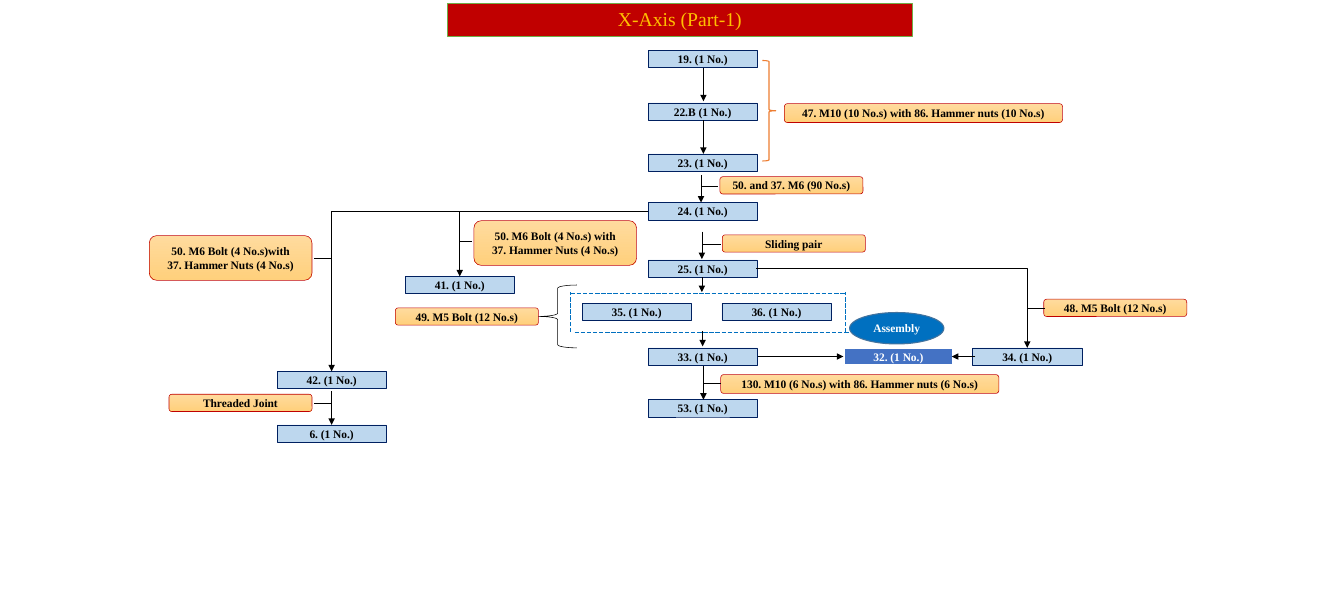
from lxml import etree
from pptx import Presentation
from pptx.dml.color import RGBColor
from pptx.enum.dml import MSO_LINE
from pptx.enum.shapes import MSO_CONNECTOR, MSO_SHAPE
from pptx.enum.text import MSO_ANCHOR, MSO_AUTO_SIZE, PP_ALIGN
from pptx.oxml.ns import qn
from pptx.util import Inches, Pt

RECTANGLE = MSO_SHAPE.RECTANGLE
ROUNDED = MSO_SHAPE.ROUNDED_RECTANGLE
OVAL = MSO_SHAPE.OVAL
LEFT_BRACE, RIGHT_BRACE = MSO_SHAPE.LEFT_BRACE, MSO_SHAPE.RIGHT_BRACE
STRAIGHT, ELBOW = MSO_CONNECTOR.STRAIGHT, MSO_CONNECTOR.ELBOW
LONG_DASH = MSO_LINE.LONG_DASH
CENTER = PP_ALIGN.CENTER
TOP, MIDDLE = MSO_ANCHOR.TOP, MSO_ANCHOR.MIDDLE

# Grid in inches: column centres and row centres of the part boxes
SLIDE_SIZE = (17.1, 7.5)
PART_SIZE = (1.39, 0.22)
COLUMNS = {"frame": 4.22, "branch": 5.85, "pair left": 8.1, "main": 8.94,
           "pair right": 9.88, "assembly": 11.43, "right": 13.07}
ROWS = {"19": 0.75, "22": 1.42, "23": 2.07, "24": 2.69, "25": 3.42, "41": 3.63,
        "pair": 3.97, "33": 4.54, "42": 4.84, "53": 5.2, "6": 5.52}

TITLE = "X-Axis (Part-1)"
PARTS = [  # text, column, row
    ("19. (1 No.)", "main", "19"),
    ("22.B (1 No.)", "main", "22"),
    ("23. (1 No.)", "main", "23"),
    ("24. (1 No.)", "main", "24"),
    ("25. (1 No.)", "main", "25"),
    ("35. (1 No.)", "pair left", "pair"),
    ("36. (1 No.)", "pair right", "pair"),
    ("33. (1 No.)", "main", "33"),
    ("53. (1 No.)", "main", "53"),
    ("34. (1 No.)", "right", "33"),
    ("41. (1 No.)", "branch", "41"),
    ("42. (1 No.)", "frame", "42"),
    ("6. (1 No.)", "frame", "6"),
]
FASTENER_SIZES = {"wide": (3.54, 0.24), "short": (1.82, 0.22), "tall": (2.07, 0.57)}
FASTENERS = [  # lines, left, top, size
    (["47. M10 (10 No.s) with 86. Hammer nuts (10 No.s)"], 9.98, 1.32, "wide"),
    (["50. and 37. M6 (90 No.s)"], 9.16, 2.25, "short"),
    (["Sliding pair"], 9.19, 2.99, "short"),
    (["49. M5 Bolt (12 No.s)"], 5.03, 3.92, "short"),
    (["48. M5 Bolt (12 No.s)"], 13.28, 3.81, "short"),
    (["Threaded Joint"], 2.15, 5.02, "short"),
    (["130. M10 (6 No.s) with 86. Hammer nuts (6 No.s)"], 9.17, 4.77, "wide"),
    (["50. M6 Bolt (4 No.s)with", "37. Hammer Nuts (4 No.s)"], 1.9, 3.0, "tall"),
    (["50. M6 Bolt (4 No.s) with", "37. Hammer Nuts (4 No.s)"], 6.03, 2.81, "tall"),
]
DOWN_ARROWS = [  # x, top, bottom
    (8.95, 0.86, 1.29), (8.95, 1.53, 1.96), (8.92, 2.23, 2.58), (8.93, 2.95, 3.3),
    (8.93, 3.53, 3.72), (8.94, 4.22, 4.41), (8.95, 4.66, 5.09), (4.22, 4.98, 5.41),
]
SIDE_ARROWS = [(9.64, 10.73), (12.41, 12.11)]  # from x, to x on the row of part 33
BENT_ARROWS = [  # from x, from row, to column, to row
    (9.62, "25", "right", "33"),
    (8.25, "24", "branch", "41"),
    (8.25, "24", "frame", "42"),
]
LEADERS = [  # left, right, y
    (8.92, 9.14, 2.37), (8.95, 9.17, 3.11), (8.95, 9.17, 4.88), (13.07, 13.29, 3.93),
    (4.0, 4.22, 3.29), (4.0, 4.22, 5.13), (5.85, 6.01, 3.07),
]
PAIR_FRAME = [  # the lower edge runs on past the corner
    (7.26, 3.73, 10.75, 3.73), (7.31, 4.23, 10.81, 4.23),
    (7.26, 4.23, 7.26, 3.72), (10.76, 4.23, 10.76, 3.72),
]
BRACES = [  # kind, box, colour, line width
    (LEFT_BRACE, (6.85, 3.63, 0.49, 0.8), "000000", 0.5),
    (RIGHT_BRACE, (9.7, 0.77, 0.17, 1.28), "ED7D31", 1),
]


def color(value):
    return RGBColor.from_string(value)


def set_line(line, value, width):
    line.color.rgb = color(value)
    line.width = Pt(width)


def write_text(shape, lines, size, value, bold, anchor):
    frame = shape.text_frame
    frame.word_wrap = True
    frame.auto_size = MSO_AUTO_SIZE.NONE
    frame.vertical_anchor = anchor
    for index, line in enumerate(lines):
        paragraph = frame.add_paragraph() if index else frame.paragraphs[0]
        paragraph.alignment = CENTER
        run = paragraph.add_run()
        run.text = line
        run.font.name = "Times New Roman"
        run.font.size = Pt(size)
        run.font.bold = bold
        run.font.color.rgb = color(value)


def add_box(slide, kind, box, fill, line, width=0.5, lines=(), text_color="000000"):
    """Add a shape; fill is None, one colour, or a (top, bottom) pair of colours."""
    shape = slide.shapes.add_shape(kind, *map(Inches, box))
    shape.shadow.inherit = False
    if fill is None:
        shape.fill.background()
    elif isinstance(fill, tuple):
        shape.fill.gradient()
        shape.fill.gradient_angle = 270
        for stop, value in zip(shape.fill.gradient_stops, fill):
            stop.color.rgb = color(value)
    else:
        shape.fill.solid()
        shape.fill.fore_color.rgb = color(fill)
    set_line(shape.line, line, width)
    if lines:
        write_text(shape, lines, 10.5, text_color, True, MIDDLE)


def part_box(column, row):
    width, height = PART_SIZE
    return COLUMNS[column] - width / 2, ROWS[row] - height / 2, width, height


def add_link(slide, points, value="000000", arrow=False, bent=False, dash=None):
    kind = ELBOW if bent else STRAIGHT
    connector = slide.shapes.add_connector(kind, *map(Inches, points))
    set_line(connector.line, value, 0.5)
    if dash:
        connector.line.dash_style = dash
    properties = connector._element.spPr
    if bent:
        properties.find(qn("a:prstGeom")).set("prst", "bentConnector2")
    if arrow:
        outline = properties.find(qn("a:ln"))
        etree.SubElement(outline, qn("a:tailEnd")).set("type", "triangle")
    etree.SubElement(properties, qn("a:effectLst"))


def add_title(slide):
    title = slide.shapes.title
    title.left, title.top, title.width, title.height = map(Inches, (5.69, 0.04, 5.92, 0.42))
    title.fill.solid()
    title.fill.fore_color.rgb = color("C00000")
    set_line(title.line, "70AD47", 0.5)
    write_text(title, [TITLE], 18, "FFC000", False, TOP)


def main():
    presentation = Presentation()
    presentation.slide_width, presentation.slide_height = map(Inches, SLIDE_SIZE)
    slide = presentation.slides.add_slide(presentation.slide_layouts[5])
    add_title(slide)

    for points in PAIR_FRAME:
        add_link(slide, points, "0070C0", dash=LONG_DASH)
    for kind, box, line, width in BRACES:
        add_box(slide, kind, box, None, line, width)
    for text, column, row in PARTS:
        add_box(slide, RECTANGLE, part_box(column, row), "BDD7EE", "002060", lines=[text])
    add_box(slide, RECTANGLE, part_box("assembly", "33"), "4472C4", "FFFFFF", 1.5,
            ["32. (1 No.)"], "FFFFFF")
    add_box(slide, OVAL, (10.81, 3.98, 1.2, 0.4), "0070C0", "43739E", 1,
            ["Assembly"], "FFFFFF")
    for lines, left, top, size in FASTENERS:
        add_box(slide, ROUNDED, (left, top, *FASTENER_SIZES[size]),
                ("FFDB9E", "FFD07C"), "C00000", lines=lines)

    for x, top, bottom in DOWN_ARROWS:
        add_link(slide, (x, top, x, bottom), arrow=True)
    for start, end in SIDE_ARROWS:
        add_link(slide, (start, ROWS["33"], end, ROWS["33"]), arrow=True)
    for start, from_row, column, to_row in BENT_ARROWS:
        end_y = ROWS[to_row] - PART_SIZE[1] / 2
        add_link(slide, (start, ROWS[from_row], COLUMNS[column], end_y), arrow=True, bent=True)
    for left, right, y in LEADERS:
        add_link(slide, (left, y, right, y))

    presentation.save("out.pptx")


if __name__ == "__main__":
    main()
